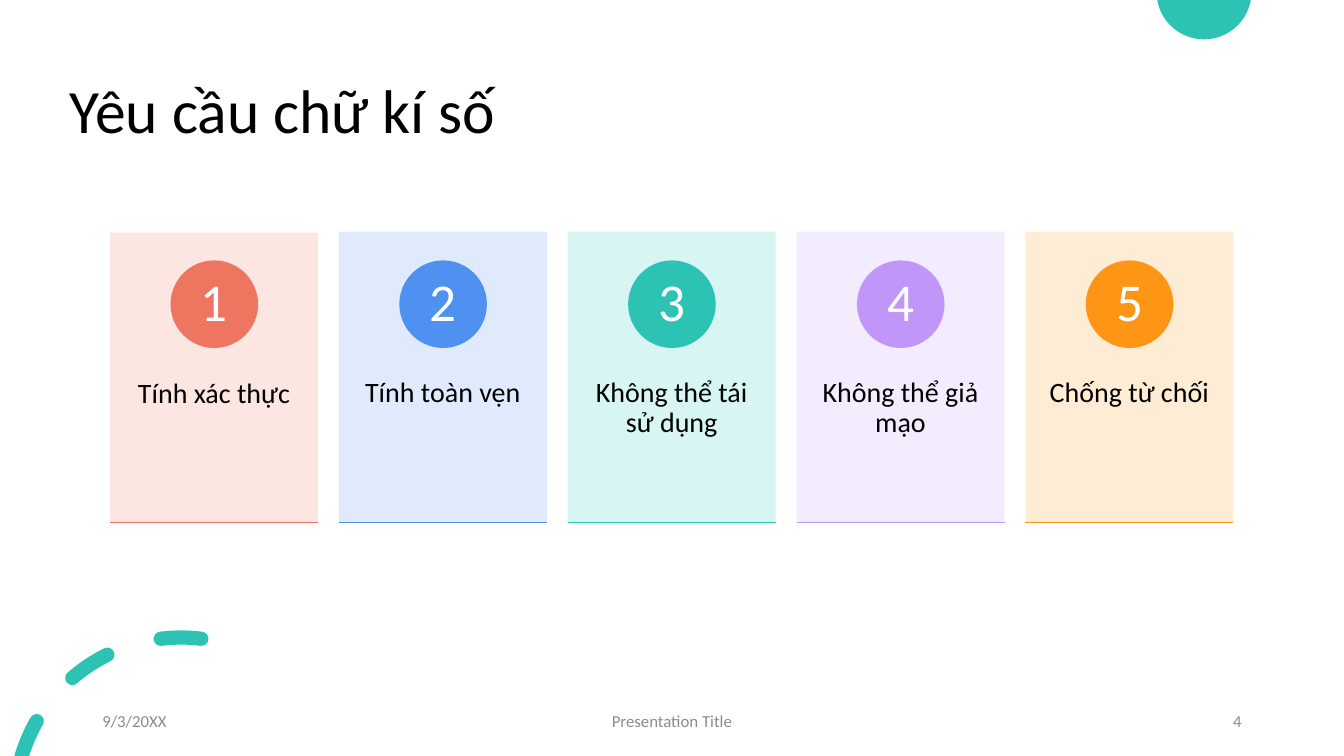
from math import cos, radians, sin, tan

from lxml import etree
from pptx import Presentation
from pptx.dml.color import RGBColor
from pptx.enum.shapes import MSO_CONNECTOR, MSO_SHAPE
from pptx.enum.text import MSO_ANCHOR, MSO_AUTO_SIZE, PP_ALIGN
from pptx.oxml.ns import qn
from pptx.util import Pt

LEFT, CENTER, RIGHT = PP_ALIGN.LEFT, PP_ALIGN.CENTER, PP_ALIGN.RIGHT
TOP, MIDDLE = MSO_ANCHOR.TOP, MSO_ANCHOR.MIDDLE
FIXED = MSO_AUTO_SIZE.NONE
RECT, OVAL = MSO_SHAPE.RECTANGLE, MSO_SHAPE.OVAL
STRAIGHT = MSO_CONNECTOR.STRAIGHT

FONT = "Calibri"
WIDTH, HEIGHT = 960, 540
BLACK = RGBColor(0x00, 0x00, 0x00)
WHITE = RGBColor(0xFF, 0xFF, 0xFF)
GRAY = RGBColor(0x8C, 0x8C, 0x8C)
CORAL = RGBColor(0xEE, 0x76, 0x61)
BLUE = RGBColor(0x4E, 0x91, 0xF0)
TEAL = RGBColor(0x2C, 0xC3, 0xB4)
PURPLE = RGBColor(0xC0, 0x97, 0xF8)
ORANGE = RGBColor(0xFF, 0x95, 0x14)
PALE_CORAL = RGBColor(0xFC, 0xE4, 0xDF)
PALE_BLUE = RGBColor(0xDC, 0xE9, 0xFC)
PALE_TEAL = RGBColor(0xD3, 0xF5, 0xF2)
PALE_PURPLE = RGBColor(0xF2, 0xEA, 0xFE)
PALE_ORANGE = RGBColor(0xFF, 0xEA, 0xD0)

CARD_TOP, FIRST_TOP = 165.5, 166.1
REQUIREMENTS = [
    ("Tính xác thực", FIRST_TOP, CORAL, PALE_CORAL),
    ("Tính toàn vẹn", CARD_TOP, BLUE, PALE_BLUE),
    ("Không thể tái sử dụng", CARD_TOP, TEAL, PALE_TEAL),
    ("Không thể giả mạo", CARD_TOP, PURPLE, PALE_PURPLE),
    ("Chống từ chối", CARD_TOP, ORANGE, PALE_ORANGE),
]
CARD_LEFT, CARD_W, CARD_H, CARD_STEP = 78.6, 148.6, 208, 163.45
BADGE, BADGE_TOP, RULE_TOP = 62.6, 186, 373.2

FOOTERS = [
    ("9/3/20XX", 66, 216, LEFT),
    ("Presentation Title", 318, 324, CENTER),
    ("4", 678, 216, RIGHT),
]

RING_X, RING_Y, RING_R, DASH_R = 129.3, 574.2, 118.8, 5.1
DASHES = [(-7, -7, 7), (-40.8, -40.8, -26.3), (-73.98, -72.5, -60.2)]


def set_text(sp, text, size=20, color=BLACK, align=CENTER, anchor=MIDDLE,
             margins=(7.2, 3.6), spacing=0.9):
    tf = sp.text_frame
    tf.auto_size = FIXED
    tf.word_wrap = True
    tf.vertical_anchor = anchor
    tf.margin_left = tf.margin_right = Pt(margins[0])
    tf.margin_top = tf.margin_bottom = Pt(margins[1])
    p = tf.paragraphs[0]
    p.alignment = align
    p.line_spacing = spacing
    r = p.add_run()
    r.text = text
    r.font.name = FONT
    r.font.size = Pt(size)
    r.font.color.rgb = color


def paint(sp, color, alpha=None):
    sp.shadow.inherit = False
    sp.fill.solid()
    sp.fill.fore_color.rgb = color
    sp.line.fill.background()
    if alpha is not None:
        clr = sp._element.spPr.find(qn("a:solidFill")).find(qn("a:srgbClr"))
        etree.SubElement(clr, qn("a:alpha")).set("val", str(alpha * 1000))


def add_box(slide, x, y, w, h, text, **fmt):
    set_text(slide.shapes.add_textbox(Pt(x), Pt(y), Pt(w), Pt(h)), text, **fmt)


def add_block(slide, kind, x, y, w, h, color, alpha=None):
    sp = slide.shapes.add_shape(kind, Pt(x), Pt(y), Pt(w), Pt(h))
    paint(sp, color, alpha)
    return sp


def add_rule(slide, x, y, w, color):
    line = slide.shapes.add_connector(STRAIGHT, Pt(x), Pt(y), Pt(x + w), Pt(y))
    line.line.color.rgb = color
    line.line.width = Pt(1)
    etree.SubElement(line._element.spPr, qn("a:effectLst"))


def on_circle(cx, cy, radius, angle, reach=0):
    a = radians(angle)
    return (cx + radius * (sin(a) + reach * cos(a)),
            cy - radius * (cos(a) - reach * sin(a)))


def arc(cx, cy, radius, start, end, pieces=1):
    step = (end - start) / pieces
    reach = 4 / 3 * tan(radians(step) / 4)
    points = []
    for i in range(pieces):
        a, b = start + i * step, start + (i + 1) * step
        points += [on_circle(cx, cy, radius, a, reach),
                   on_circle(cx, cy, radius, b, -reach),
                   on_circle(cx, cy, radius, b)]
    return points


def dash_outline(outer_start, inner_start, end):
    outer, inner = RING_R + DASH_R, RING_R - DASH_R
    tip = on_circle(RING_X, RING_Y, RING_R, end)
    points = [on_circle(RING_X, RING_Y, outer, outer_start)]
    points += arc(RING_X, RING_Y, outer, outer_start, end)
    points += arc(*tip, DASH_R, end, end + 180, 2)
    points += arc(RING_X, RING_Y, inner, end, inner_start)
    if outer_start == inner_start:
        tail = on_circle(RING_X, RING_Y, RING_R, outer_start)
        points += arc(*tail, DASH_R, outer_start + 180, outer_start + 360, 2)
    return points


def lines_to_curves(sp):
    lines = list(sp._element.iter(qn("a:lnTo")))
    for i in range(0, len(lines), 3):
        curve = etree.Element(qn("a:cubicBezTo"))
        lines[i].addprevious(curve)
        for line in lines[i:i + 3]:
            curve.append(line[0])
            line.getparent().remove(line)


def add_outlines(slide, outlines, color):
    fb = None
    for outline in outlines:
        points = [(x * 100, y * 100) for x, y in outline]
        if fb is None:
            fb = slide.shapes.build_freeform(*points[0], scale=Pt(1) / 100)
        else:
            fb.move_to(*points[0])
        fb.add_line_segments(points[1:], close=True)
    sp = fb.convert_to_shape()
    lines_to_curves(sp)
    paint(sp, color)


def add_card(slide, index, label, top, color, pale):
    x = CARD_LEFT + index * CARD_STEP
    add_block(slide, RECT, x, top, CARD_W, CARD_H, pale, alpha=90)
    add_box(slide, x, top + 78.7, CARD_W, 124.6, label,
            anchor=TOP, margins=(11.6, 26))
    badge = add_block(slide, OVAL, x + (CARD_W - BADGE) / 2 + 0.2, BADGE_TOP,
                      BADGE, BADGE, color)
    set_text(badge, str(index + 1), size=38, color=WHITE, margins=(4.9, 0.9))
    add_rule(slide, x, RULE_TOP, CARD_W, color)


def main():
    prs = Presentation()
    prs.slide_width, prs.slide_height = Pt(WIDTH), Pt(HEIGHT)
    slide = prs.slides.add_slide(prs.slide_layouts[5])

    title = slide.shapes.title
    title.left, title.top, title.width, title.height = Pt(42.5), Pt(29), Pt(828), Pt(104)
    set_text(title, "Yêu cầu chữ kí số", size=44, align=LEFT)

    rim = (860, -5.8, 33.9)
    half_disc = [on_circle(*rim, 99.85)] + arc(*rim, 99.85, 260.15, 2)
    add_outlines(slide, [half_disc], TEAL)
    add_outlines(slide, [dash_outline(*dash) for dash in DASHES], TEAL)
    for index, requirement in enumerate(REQUIREMENTS):
        add_card(slide, index, *requirement)
    for text, x, w, align in FOOTERS:
        add_box(slide, x, 500.5, w, 28.8, text, size=12, color=GRAY,
                align=align, spacing=1.0)

    prs.save("out.pptx")


main()
